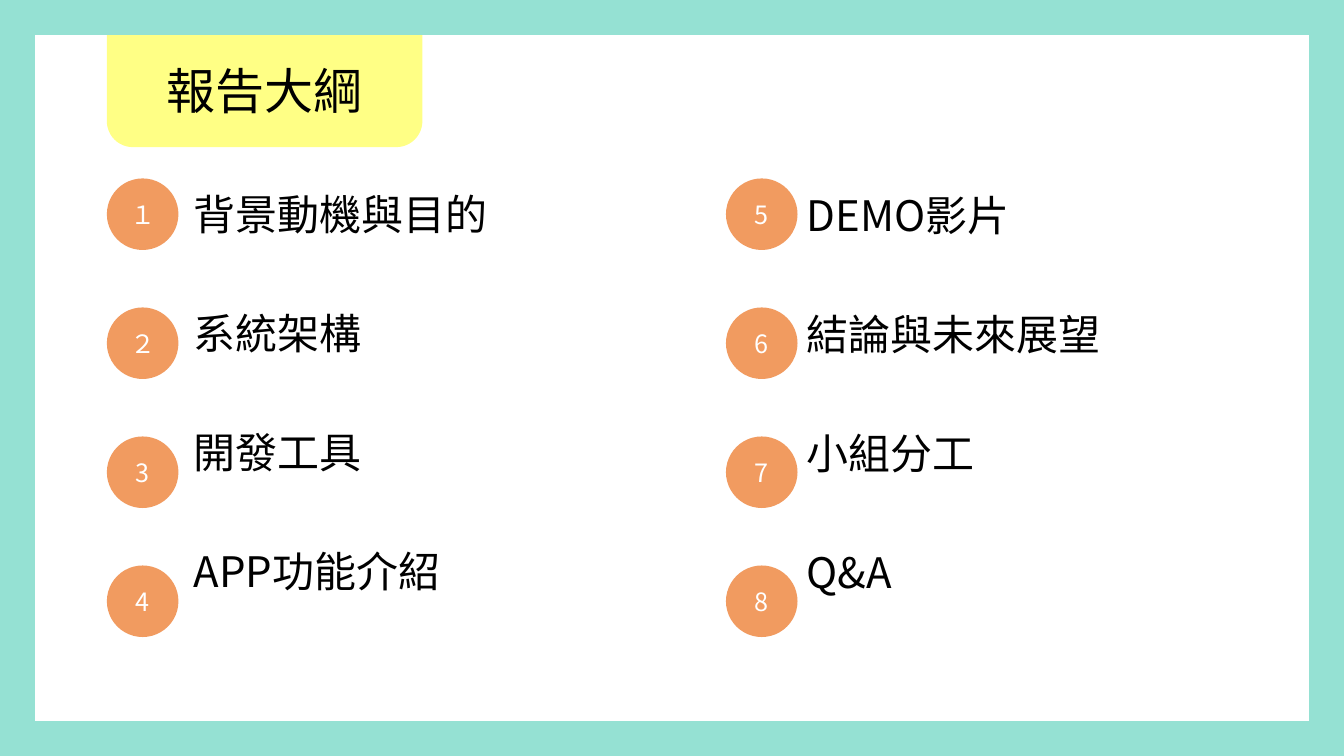
import pptx
import pptx.util
import pptx.oxml
import pptx.oxml.ns
from pptx.util import Inches, Pt
from pptx.dml.color import RGBColor
from pptx.enum.shapes import MSO_SHAPE
from pptx.enum.text import MSO_ANCHOR, MSO_AUTO_SIZE, PP_ALIGN
from dataclasses import dataclass


@dataclass(frozen=True)
class Theme:
    font: str = "Noto Sans CJK SC"
    ink: str = "000000"
    paper: str = "FFFFFF"
    frame: str = "95E1D3"
    tab: str = "FFFF00"
    badge: str = "ED7D31"
    title_size: int = 35
    item_size: int = 30
    number_size: int = 18


THEME = Theme()
TITLE = "報告大綱"
COLUMNS = [
    dict(badge_x=1.06, list_x=1.82, list_y=1.82, numbers="１２34",
         items=["背景動機與目的", "系統架構", "開發工具", "APP功能介紹"]),
    dict(badge_x=7.2, list_x=7.9, list_y=1.83, numbers="5678",
         items=["DEMO影片", "結論與未來展望", "小組分工", "Q&A"]),
]
BADGE_Y, BADGE_SIZE, ROW_PITCH = 1.77, 0.71, 1.28
ITEM_GAP = 49


def set_attrs(target, values):
    for name, value in values.items():
        setattr(target, name, value)


def place(sp, x, y, w, h):
    set_attrs(sp, dict(left=Inches(x), top=Inches(y),
                       width=Inches(w), height=Inches(h)))


def add_text(p, text, size, color, align):
    set_attrs(p, dict(alignment=align, line_spacing=1.0,
                      space_before=Pt(0), space_after=Pt(0)))
    r = p.add_run()
    r.text = text
    set_attrs(r.font, dict(name=THEME.font, size=Pt(size), bold=False))
    r.font.color.rgb = RGBColor.from_string(color)
    ea = pptx.oxml.parse_xml(
        f'<a:ea {pptx.oxml.ns.nsdecls("a")} typeface="{THEME.font}"/>')
    r.font._element.find(pptx.oxml.ns.qn("a:latin")).addnext(ea)


def add_filled(s, kind, box, color, alpha):
    sp = s.shapes.add_shape(kind, *map(Inches, box))
    sp.shadow.inherit = False
    sp.line.fill.background()
    sp.fill.solid()
    sp.fill.fore_color.rgb = RGBColor.from_string(color)
    clr = sp.fill._xPr.find(".//" + pptx.oxml.ns.qn("a:srgbClr"))
    clr.append(pptx.oxml.parse_xml(
        f'<a:alpha {pptx.oxml.ns.nsdecls("a")} val="{alpha * 1000}"/>'))
    return sp


def add_frame(prs, s):
    sp = s.shapes.add_shape(MSO_SHAPE.RECTANGLE, 0, 0,
                            prs.slide_width, prs.slide_height)
    sp.shadow.inherit = False
    sp.fill.background()
    sp.line.color.rgb = RGBColor.from_string(THEME.frame)
    sp.line.width = Pt(50)


def add_badge(s, x, y, number):
    sp = add_filled(s, MSO_SHAPE.OVAL, (x, y, BADGE_SIZE, BADGE_SIZE),
                    THEME.badge, 77)
    tf = sp.text_frame
    tf.vertical_anchor = MSO_ANCHOR.MIDDLE
    add_text(tf.paragraphs[0], number, THEME.number_size, THEME.paper,
             PP_ALIGN.CENTER)


def open_text(sp):
    tf = sp.text_frame
    set_attrs(tf, dict(word_wrap=True, auto_size=MSO_AUTO_SIZE.NONE,
                       vertical_anchor=MSO_ANCHOR.TOP))
    return tf


def fill_title(s):
    tab = add_filled(s, MSO_SHAPE.ROUNDED_RECTANGLE,
                     (1.06, -0.09, 3.13, 1.55), THEME.tab, 48)
    sp = s.shapes.title
    sp._element.addprevious(tab._element)
    place(sp, 1.51, 0.55, 2.23, 0.8)
    add_text(open_text(sp).paragraphs[0], TITLE, THEME.title_size,
             THEME.ink, PP_ALIGN.CENTER)


def fill_list(sp, x, y, items):
    place(sp, x, y, 3.35, 4.6)
    tf = open_text(sp)
    for i, item in enumerate(items):
        p = tf.add_paragraph() if i else tf.paragraphs[0]
        add_text(p, item, THEME.item_size, THEME.ink, PP_ALIGN.LEFT)
        if i < len(items) - 1:
            p.space_after = Pt(ITEM_GAP)
        pPr = p._p.get_or_add_pPr()
        pPr.set("marL", "0")
        pPr.set("indent", "0")
        pPr.append(pptx.oxml.parse_xml(
            f'<a:buNone {pptx.oxml.ns.nsdecls("a")}/>'))


def main():
    prs = pptx.Presentation()
    set_attrs(prs, dict(slide_width=Inches(13.33), slide_height=Inches(7.5)))
    s = prs.slides.add_slide(prs.slide_layouts.get_by_name("Two Content"))
    s.background.fill.solid()
    s.background.fill.fore_color.rgb = RGBColor.from_string(THEME.paper)
    fill_title(s)
    add_frame(prs, s)
    for column, sp in zip(COLUMNS, list(s.placeholders)[1:]):
        fill_list(sp, column["list_x"], column["list_y"], column["items"])
        for row, number in enumerate(column["numbers"]):
            add_badge(s, column["badge_x"], BADGE_Y + row * ROW_PITCH, number)
    prs.save("out.pptx")


main()
